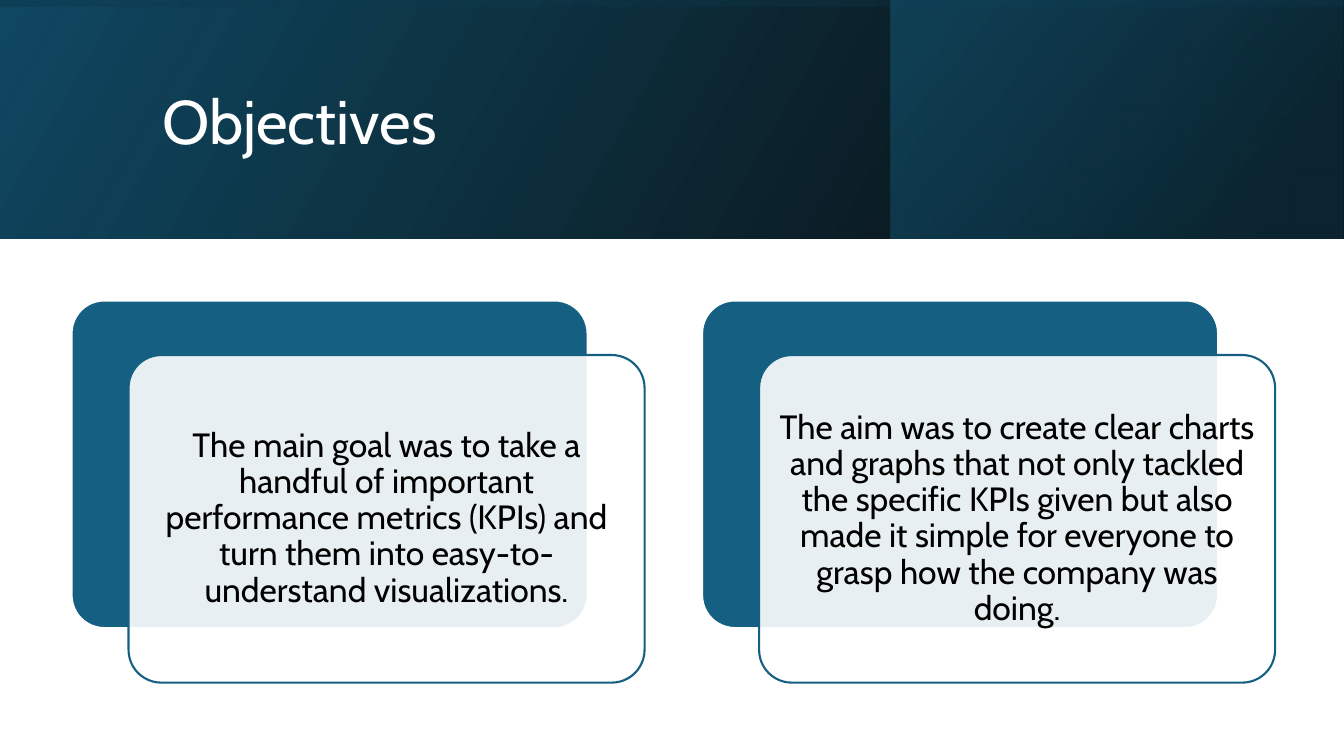
from dataclasses import dataclass

from lxml.etree import SubElement
from pptx import Presentation
from pptx.dml.color import RGBColor
from pptx.enum.shapes import MSO_SHAPE
from pptx.enum.text import MSO_ANCHOR, MSO_AUTO_SIZE, PP_ALIGN
from pptx.oxml.ns import qn
from pptx.shapes.autoshape import Shape
from pptx.slide import Slide
from pptx.text.text import TextFrame
from pptx.util import Pt

SLIDE_WIDTH, SLIDE_HEIGHT = 960, 540
BAND_HEIGHT = 170.64
CARD_TOP, CARD_WIDTH, CARD_HEIGHT = 214.6, 368.6, 234
FRONT_SHIFT_X, FRONT_SHIFT_Y = 40.7, 39
FIRST_CARD_LEFT, CARD_PITCH = 51.1, 450.4
BLUE, WHITE, BLACK = "156082", "FFFFFF", "000000"


@dataclass
class GradientStop:
    position: int
    color: str
    opacity: int


@dataclass
class Band:
    left: float
    top: float
    width: float
    height: float
    angle: int
    stops: list[GradientStop]
    rotation: int = 0


BANDS = [
    Band(0, 0, SLIDE_WIDTH, BAND_HEIGHT, 330,
         [GradientStop(0, BLACK, 96), GradientStop(100, "104862", 100)]),
    Band(636.5, 0, 322.8, BAND_HEIGHT, 320,
         [GradientStop(19, "0B3041", 68), GradientStop(100, BLUE, 48)]),
    Band((SLIDE_WIDTH - BAND_HEIGHT) / 2, (BAND_HEIGHT - SLIDE_WIDTH) / 2,
         BAND_HEIGHT, SLIDE_WIDTH, 350,
         [GradientStop(23, "104862", 16), GradientStop(99, BLACK, 45)], rotation=270),
]

OBJECTIVES = [
    "The main goal was to take a handful of important performance metrics (KPIs) "
    "and turn them into easy-to-understand visualizations.",
    "The aim was to create clear charts and graphs that not only tackled the specific "
    "KPIs given but also made it simple for everyone to grasp how the company was doing.",
]


def rgb(color: str) -> RGBColor:
    return RGBColor.from_string(color)


def write_text(frame: TextFrame, text: str, *, size: float, color: str,
               alignment: PP_ALIGN, margin_y: float = 3.6) -> None:
    frame.word_wrap = True
    frame.auto_size = MSO_AUTO_SIZE.NONE
    frame.vertical_anchor = MSO_ANCHOR.MIDDLE
    frame.margin_left = frame.margin_right = Pt(7.2)
    frame.margin_top = frame.margin_bottom = Pt(margin_y)
    paragraph = frame.paragraphs[0]
    paragraph.alignment = alignment
    paragraph.line_spacing = 0.9
    run = paragraph.add_run()
    run.text = text
    run.font.name = "Cabin"
    run.font.size = Pt(size)
    run.font.color.rgb = rgb(color)


def set_gradient(shape: Shape, stops: list[GradientStop], angle: int) -> None:
    """Fill with a linear gradient whose stops may be translucent."""
    shape.fill.gradient()
    gradient = shape.element.spPr.find(qn("a:gradFill"))
    stop_list = gradient.find(qn("a:gsLst"))
    for default_stop in list(stop_list):
        stop_list.remove(default_stop)
    for stop in stops:
        node = SubElement(stop_list, qn("a:gs"), pos=str(stop.position * 1000))
        color = SubElement(node, qn("a:srgbClr"), val=stop.color)
        SubElement(color, qn("a:alpha"), val=str(stop.opacity * 1000))
    direction = gradient.find(qn("a:lin"))
    direction.set("ang", str(angle * 60000))
    direction.set("scaled", "0")


def add_band(slide: Slide, band: Band) -> None:
    shape = slide.shapes.add_shape(MSO_SHAPE.RECTANGLE, Pt(band.left), Pt(band.top),
                                   Pt(band.width), Pt(band.height))
    shape.shadow.inherit = False
    shape.line.fill.background()
    shape.rotation = band.rotation
    shape.element.spPr.find(qn("a:xfrm")).set("flipH", "1")
    set_gradient(shape, band.stops, band.angle)


def add_card(slide: Slide, left: float, top: float, *, fill: str, line: str,
             opacity: int = 100) -> Shape:
    card = slide.shapes.add_shape(MSO_SHAPE.ROUNDED_RECTANGLE, Pt(left), Pt(top),
                                  Pt(CARD_WIDTH), Pt(CARD_HEIGHT))
    card.adjustments[0] = 0.1
    card.shadow.inherit = False
    card.fill.solid()
    card.fill.fore_color.rgb = rgb(fill)
    if opacity < 100:
        color = card.element.spPr.find(qn("a:solidFill")).find(qn("a:srgbClr"))
        SubElement(color, qn("a:alpha"), val=str(opacity * 1000))
    card.line.color.rgb = rgb(line)
    card.line.width = Pt(1.5)
    return card


def add_title(slide: Slide, text: str) -> None:
    title = slide.shapes.title
    title.left, title.top, title.width, title.height = Pt(108.7), Pt(27.4), Pt(765.4), Pt(123.8)
    write_text(title.text_frame, text, size=44, color=WHITE, alignment=PP_ALIGN.LEFT)
    slide.shapes.element.append(title.element)


def main() -> None:
    presentation = Presentation()
    presentation.slide_width, presentation.slide_height = Pt(SLIDE_WIDTH), Pt(SLIDE_HEIGHT)
    slide = presentation.slides.add_slide(presentation.slide_layouts.get_by_name("Title Only"))
    for band in BANDS:
        add_band(slide, band)
    add_title(slide, "Objectives")
    for index, objective in enumerate(OBJECTIVES):
        left = FIRST_CARD_LEFT + index * CARD_PITCH
        add_card(slide, left, CARD_TOP, fill=BLUE, line=WHITE)
        front = add_card(slide, left + FRONT_SHIFT_X, CARD_TOP + FRONT_SHIFT_Y,
                         fill=WHITE, line=BLUE, opacity=90)
        write_text(front.text_frame, objective, size=24, color=BLACK,
                   alignment=PP_ALIGN.CENTER, margin_y=7.2)
    presentation.save("out.pptx")


if __name__ == "__main__":
    main()
